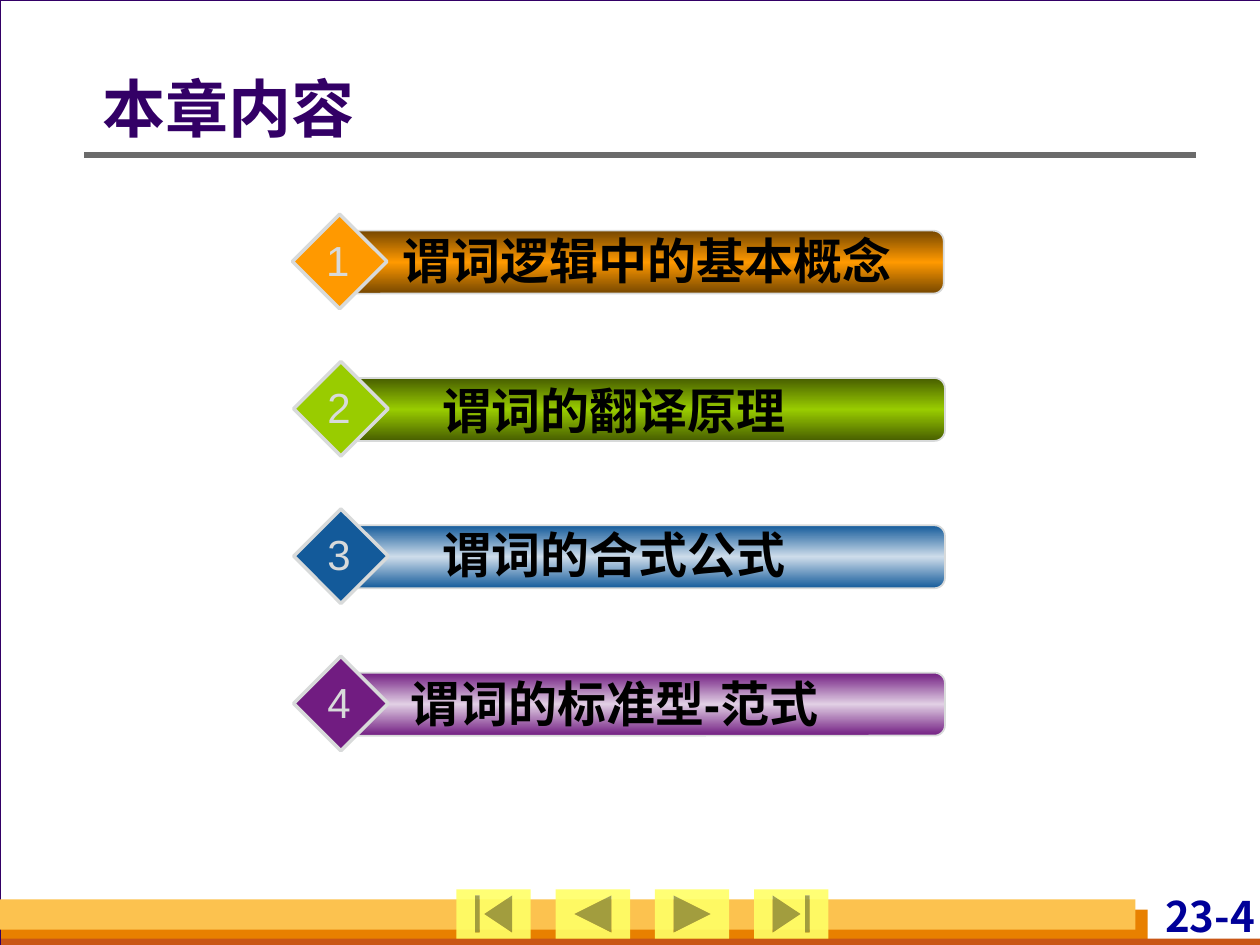
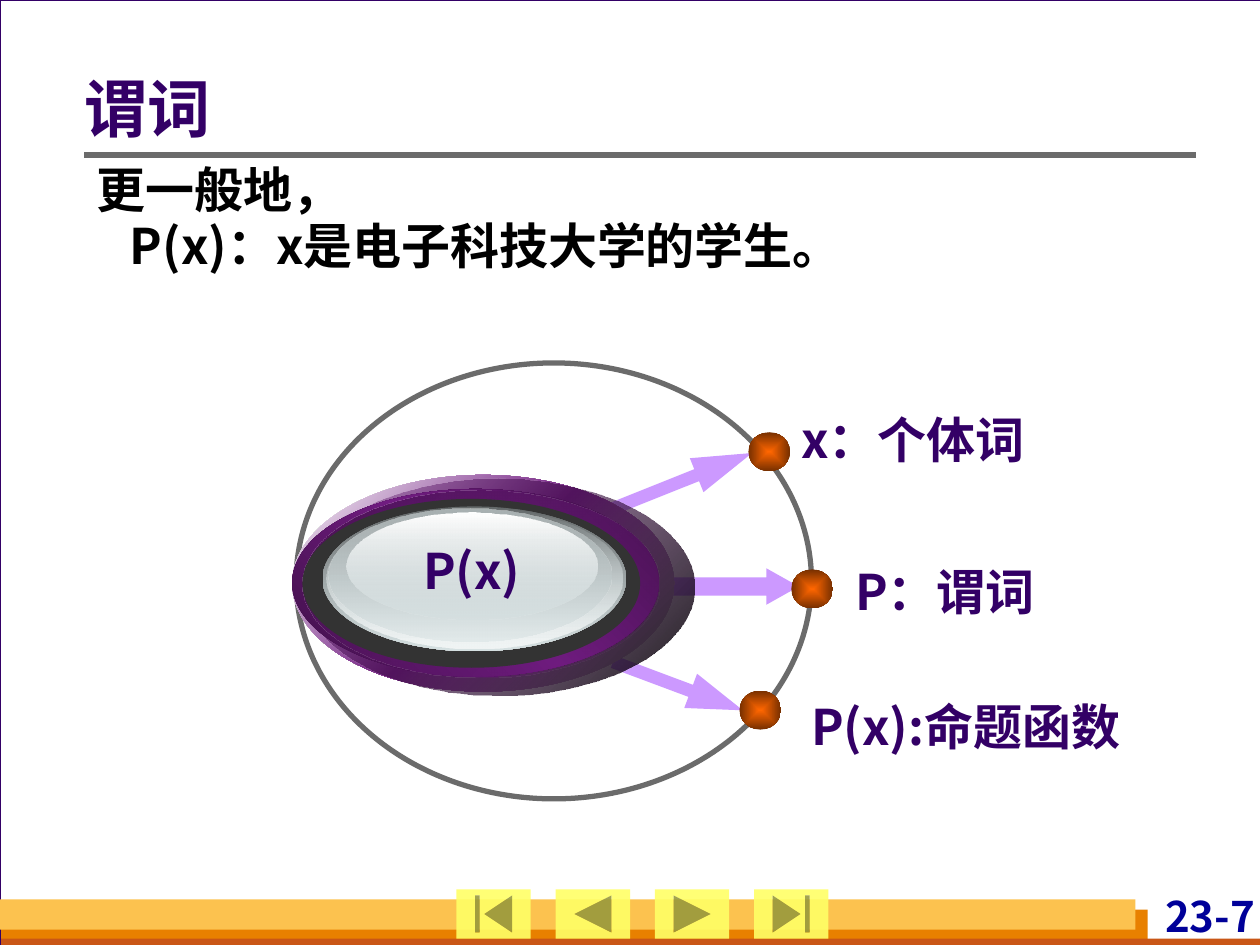
"""Build two slides on predicate logic: a chapter outline and the parts of a predicate."""
from lxml import etree
from pptx import Presentation
from pptx.dml.color import RGBColor
from pptx.enum.shapes import MSO_CONNECTOR, MSO_SHAPE
from pptx.enum.text import MSO_ANCHOR, PP_ALIGN
from pptx.oxml import parse_xml
from pptx.oxml.ns import nsdecls, qn
from pptx.util import Pt

RECTANGLE, ROUNDED = MSO_SHAPE.RECTANGLE, MSO_SHAPE.ROUNDED_RECTANGLE
DIAMOND, ELLIPSE, ARROW = MSO_SHAPE.DIAMOND, MSO_SHAPE.OVAL, MSO_SHAPE.RIGHT_ARROW
LEFT, CENTER, RIGHT = PP_ALIGN.LEFT, PP_ALIGN.CENTER, PP_ALIGN.RIGHT
TOP, MIDDLE = MSO_ANCHOR.TOP, MSO_ANCHOR.MIDDLE
STRAIGHT = MSO_CONNECTOR.STRAIGHT
HAN, LATIN = "Noto Sans CJK SC", "Arial"

PURPLE, GREY, SILVER, WHITE, BLACK = "330066", "6B6B6B", "D8DADA", "FFFFFF", "000000"
PLUM, ICE = "711C81", "D6E1E2"

BANDS = [
    ("E88000", (0.7, 519.8, 655.2, 20.2)),
    ("C95616", (0.7, 536.4, 720, 5.5)),
    ("FCC24F", (0, 514, 648.8, 17.3)),
]
BUTTONS = [
    MSO_SHAPE.ACTION_BUTTON_BEGINNING,
    MSO_SHAPE.ACTION_BUTTON_BACK_OR_PREVIOUS,
    MSO_SHAPE.ACTION_BUTTON_FORWARD_OR_NEXT,
    MSO_SHAPE.ACTION_BUTTON_END,
]
BUTTON_LEFT, BUTTON_PITCH = 260.8, 56.7

TOPICS = [
    ("谓词逻辑中的基本概念", "FF9900", "764700", "FF9900", 197.3, 128.2, 309),
    ("谓词的翻译原理", "99CC00", "475E00", "99CC00", 198, 213.8, 270),
    ("谓词的合式公式", "135A9A", "135A9A", "CDDCEA", 198, 296, 270),
    ("谓词的标准型-范式", PLUM, PLUM, "E1CFE4", 198, 381.6, 270),
]
TOPIC_TOP, TOPIC_PITCH = 131.8, 84.2

STATEMENT = [("更一般地，", 0), ("P(x)：x是电子科技大学的学生。", 19)]
PARTS = [
    ("x：个体词", (450.7, 230.4, 153.4, 41)),
    ("P：谓词", (481.7, 317.5, 139.7, 41)),
    ("P(x):命题函数", (456.5, 394.6, 209.5, 75)),
]
ARROWS = [
    ((347.8, 264.2, 85, 20.9), 338.2, (0.352, 1.632)),
    ((347.8, 381.6, 79.2, 20.9), 20.5, (0.352, 1.522)),
    ((380.9, 324.7, 75.6, 20.9), 0, (0.5, 0.891)),
]
ORBIT = (169.2, 207.4, 294.5, 249.1)
DOTS = [(427.7, 247), (422.6, 394.6), (452.2, 325.4)]
DOT_SIZE = (23.8, 22.3)
DOT_FILL = ([(0, "FF6600", 100), (100, "762F00", 100)], None)
DISC_LAYERS = [
    ((167, 271.4, 218.2, 123.8), ([(0, WHITE, 100), (50, PLUM, 100), (100, WHITE, 100)], 45)),
    ((172.8, 273.6, 223.9, 123.8), ([(0, PLUM, 32), (100, BLACK, 90)], 45)),
    ((167, 279.4, 209.5, 107.3), ([(0, "3D0F46", 100), (50, PLUM, 100), (100, "3D0F46", 100)], 315)),
    ((172.8, 280.1, 203.8, 107.3), ([(0, "481252", 100), (100, PLUM, 0)], 45)),
    ((172.8, 285.1, 193, 96.5), "333333"),
    ((184.3, 289.4, 173.5, 82.8), ([(0, "636869", 100), (100, ICE, 100)], 90)),
    ((186.5, 290.2, 169.2, 80.6), ([(0, ICE, 0), (100, "F1F5F5", 100)], 90)),
    ((187.9, 290.9, 161.3, 75.6), ([(0, "AAB2B3", 100), (100, ICE, 48)], 90)),
    ((198, 293, 143.3, 61.2), ([(0, WHITE, 100), (100, ICE, 38)], 90)),
]


def color(hex_string):
    return RGBColor.from_string(hex_string)


def points(values):
    return [Pt(value) for value in values]


def paint_gradient(shape, stops, angle):
    stop_xml = "".join(
        f'<a:gs pos="{position * 1000}"><a:srgbClr val="{tone}">'
        f'<a:alpha val="{opacity * 1000}"/></a:srgbClr></a:gs>'
        for position, tone, opacity in stops
    )
    if angle is None:
        direction = '<a:path path="rect"><a:fillToRect l="50000" t="50000" r="50000" b="50000"/></a:path>'
    else:
        direction = f'<a:lin ang="{angle * 60000}" scaled="1"/>'
    gradient = parse_xml(
        f'<a:gradFill {nsdecls("a")} rotWithShape="1"><a:gsLst>{stop_xml}</a:gsLst>{direction}</a:gradFill>'
    )
    shape.fill.background()
    properties = shape._element.spPr
    properties.replace(properties.find(qn("a:noFill")), gradient)


def add_figure(slide, kind, box, fill=None, line=None, opacity=100, adjustments=()):
    shape = slide.shapes.add_shape(kind, *points(box))
    shape.shadow.inherit = False
    if fill is None:
        shape.fill.background()
    elif isinstance(fill, str):
        shape.fill.solid()
        shape.fill.fore_color.rgb = color(fill)
        if opacity < 100:
            tone = shape._element.spPr.find(qn("a:solidFill"))[0]
            etree.SubElement(tone, qn("a:alpha")).set("val", str(opacity * 1000))
    else:
        paint_gradient(shape, *fill)
    if line:
        shape.line.color.rgb = color(line[0])
        shape.line.width = Pt(line[1])
    else:
        shape.line.fill.background()
    for index, value in enumerate(adjustments):
        shape.adjustments[index] = value
    return shape


def add_text(slide, lines, box, size=28, tone=PURPLE, font=HAN, bold=True, align=LEFT,
             anchor=TOP, insets=(7.2, 3.6, 7.2, 3.6), wrap=True, spacing=None, gap=0):
    frame = slide.shapes.add_textbox(*points(box)).text_frame
    frame.word_wrap = wrap
    frame.vertical_anchor = anchor
    frame.margin_left, frame.margin_top, frame.margin_right, frame.margin_bottom = points(insets)
    for index, (text, indent) in enumerate(lines):
        paragraph = frame.add_paragraph() if index else frame.paragraphs[0]
        paragraph.text = text
        paragraph.alignment = align
        if spacing:
            paragraph.line_spacing = spacing
        if index:
            paragraph.space_before = Pt(gap)
        properties = paragraph._p.get_or_add_pPr()
        if indent:
            properties.set("marL", str(Pt(indent)))
        paragraph.font.size = Pt(size)
        paragraph.font.bold = bold
        paragraph.font.color.rgb = color(tone)
        paragraph.font.name = font
        etree.SubElement(properties.find(qn("a:defRPr")), qn("a:ea")).set("typeface", HAN)


def add_framed_slide(presentation, title, title_left, page):
    slide = presentation.slides.add_slide(presentation.slide_layouts[6])
    slide.background.fill.solid()
    slide.background.fill.fore_color.rgb = color(SILVER)
    add_figure(slide, RECTANGLE, (0, 0, 720.7, 540), WHITE, (PURPLE, 0.75))
    for tone, box in BANDS:
        add_figure(slide, RECTANGLE, box, tone)
    add_text(slide, [(page, 0)], (620.6, 509, 96.5, 28.8), size=24, tone="000099",
             align=RIGHT, insets=(0, 0, 0, 0))
    rule = slide.shapes.add_connector(STRAIGHT, *points((48.2, 88.6, 683.3, 88.6)))
    rule.line.color.rgb = color(GREY)
    rule.line.width = Pt(3)
    etree.SubElement(rule._element.spPr, qn("a:effectLst"))
    for index, kind in enumerate(BUTTONS):
        box = (BUTTON_LEFT + index * BUTTON_PITCH, 508.2, 42.5, 28.2)
        add_figure(slide, kind, box, "FFFF66", opacity=90)
    add_text(slide, [(title, 0)], (title_left, 27.4, 683.3 - title_left, 72.7), size=36,
             anchor=MIDDLE, insets=(0, 3.6, 7.2, 3.6), spacing=0.9)
    return slide


def build_outline(presentation):
    slide = add_framed_slide(presentation, "本章内容", 58.3, "23-4")
    for index, (label, tone, edge, middle, left, label_top, label_width) in enumerate(TOPICS):
        top = TOPIC_TOP + index * TOPIC_PITCH
        stops = [(0, edge, 100), (50, middle, 100), (100, edge, 100)]
        add_figure(slide, ROUNDED, (left, top, 342, 36), (stops, 90), (SILVER, 1), adjustments=[0.167])
        add_figure(slide, DIAMOND, (left - 30.2, top - 9.4, 54, 54), tone, (SILVER, 2))
        add_text(slide, [(label, 0)], (left + 18, label_top, label_width, 41),
                 tone=BLACK, font=LATIN, align=CENTER)
        add_text(slide, [(str(index + 1), 0)], (left - 18, top - 1.6, 27.4, 36), size=24,
                 tone=SILVER, font=LATIN, bold=False, align=CENTER, wrap=False)


def build_predicate(presentation):
    slide = add_framed_slide(presentation, "谓词", 48.2, "23-7")
    add_text(slide, STATEMENT, (48.2, 94.3, 635, 74.9), tone=BLACK, spacing=0.8, gap=5)
    for label, box in PARTS:
        add_text(slide, [(label, 0)], box)
    for box, rotation, adjustments in ARROWS:
        arrow = add_figure(slide, ARROW, box, "CC99FF", adjustments=adjustments)
        arrow.rotation = rotation
    add_figure(slide, ELLIPSE, ORBIT, line=(GREY, 3))
    for position in DOTS:
        add_figure(slide, ELLIPSE, position + DOT_SIZE, DOT_FILL)
    for box, fill in DISC_LAYERS:
        add_figure(slide, ELLIPSE, box, fill)
    add_text(slide, [("P(x)", 0)], (201.6, 305.3, 136, 41), align=CENTER)


def main():
    presentation = Presentation()
    presentation.slide_width, presentation.slide_height = Pt(720), Pt(540)
    build_outline(presentation)
    build_predicate(presentation)
    presentation.save("out.pptx")


if __name__ == "__main__":
    main()
